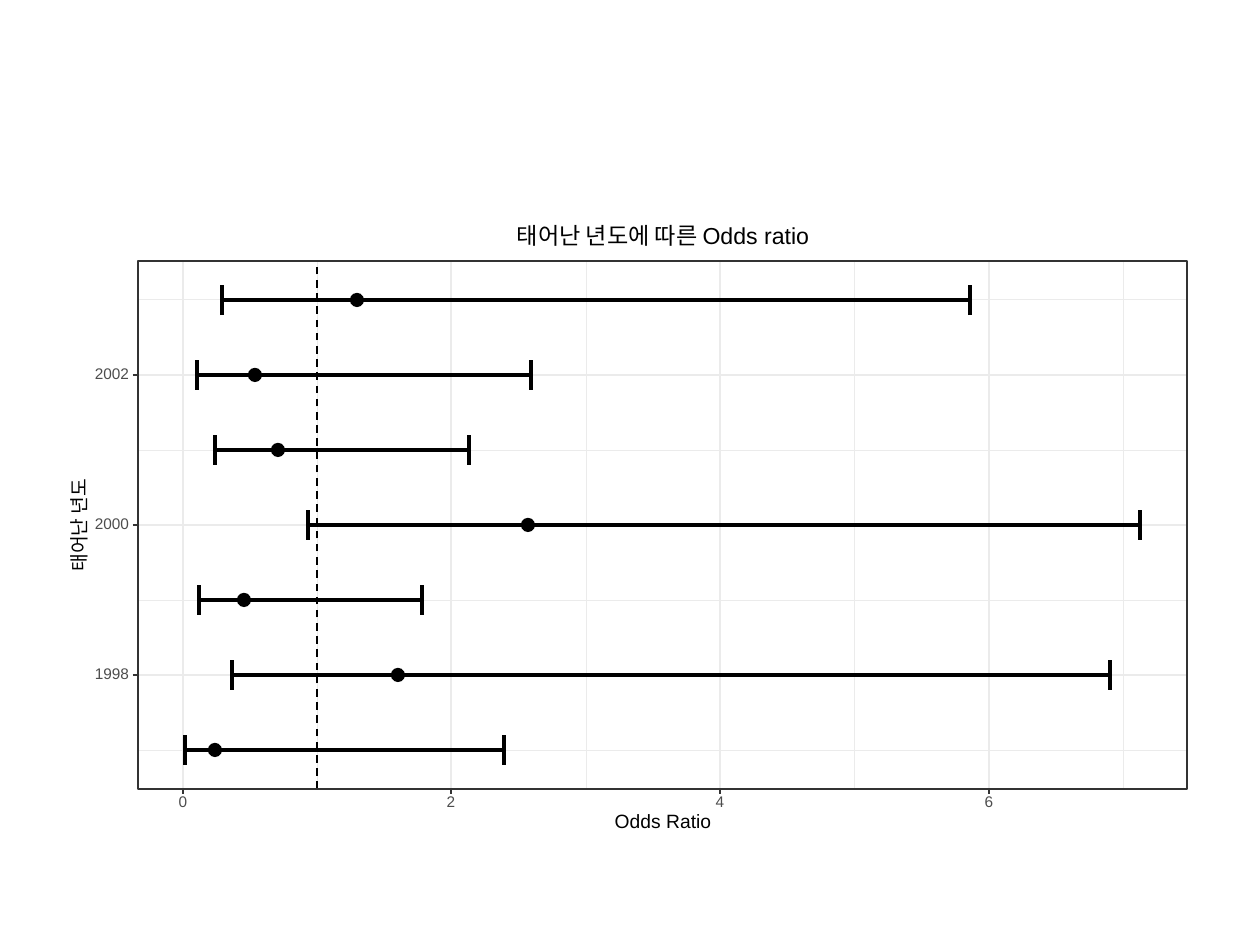
from lxml import etree
from pptx import Presentation
from pptx.dml.color import RGBColor
from pptx.enum.dml import MSO_LINE
from pptx.enum.shapes import MSO_CONNECTOR, MSO_SHAPE
from pptx.enum.text import MSO_ANCHOR, PP_ALIGN
from pptx.oxml.ns import qn
from pptx.util import Emu, Pt

PIXEL = 914400 / 126
BLACK = RGBColor(0x00, 0x00, 0x00)
FRAME_GRAY = RGBColor(0x33, 0x33, 0x33)
LABEL_GRAY = RGBColor(0x4D, 0x4D, 0x4D)
GRID_GRAY = RGBColor(0xEB, 0xEB, 0xEB)

LEFT, TOP, RIGHT, BOTTOM = 138, 261, 1187, 789
TICK = 5
MINOR, MAJOR, BAR = 0.53, 1.07, 2.77
YEAR_TICKS = (1998, 2000, 2002)
RATIO_TICKS = (0, 2, 4, 6)

# Year: lower limit, odds ratio, upper limit
INTERVALS = {
    1997: (0.02, 0.24, 2.39),
    1998: (0.37, 1.60, 6.90),
    1999: (0.12, 0.46, 1.78),
    2000: (0.93, 2.57, 7.12),
    2001: (0.24, 0.71, 2.13),
    2002: (0.11, 0.54, 2.59),
    2003: (0.29, 1.30, 5.86),
}


def px(pixels):
    """Turn pixels into EMU."""
    return Emu(round(pixels * PIXEL))


def ratio_x(ratio):
    """Return the horizontal position of an odds ratio."""
    return round(182.6 + 134.4 * ratio)


def year_y(year):
    """Return the vertical position of a birth year."""
    return 525 - 75 * (year - 2000)


def add_line(slide, x1, y1, x2, y2, color, width, dash=None):
    """Draw a straight line without a shadow."""
    line = slide.shapes.add_connector(
        MSO_CONNECTOR.STRAIGHT, px(x1), px(y1), px(x2), px(y2))
    line.line.color.rgb = color
    line.line.width = Pt(width)
    if dash:
        line.line.dash_style = dash
    etree.SubElement(line._element.spPr, qn("a:effectLst"))


def add_label(slide, text, center_x, center_y, width, height, size,
              color=BLACK, rotation=0):
    """Write one line of text around a centre point."""
    box = slide.shapes.add_textbox(px(center_x - width / 2), px(center_y - height / 2),
                                   px(width), px(height))
    box.rotation = rotation
    frame = box.text_frame
    frame.word_wrap = False
    frame.vertical_anchor = MSO_ANCHOR.MIDDLE
    frame.margin_left = frame.margin_right = frame.margin_top = frame.margin_bottom = 0
    paragraph = frame.paragraphs[0]
    paragraph.text = text
    paragraph.alignment = PP_ALIGN.CENTER
    paragraph.line_spacing = Pt(size)
    paragraph.font.name = "Arial"
    paragraph.font.size = Pt(size)
    paragraph.font.color.rgb = color


def add_grid(slide):
    """Draw the minor grid lines, then the major ones."""
    for years, ratios, width in (((1997, 1999, 2001, 2003), (1, 3, 5, 7), MINOR),
                                 (YEAR_TICKS, RATIO_TICKS, MAJOR)):
        for year in years:
            add_line(slide, LEFT, year_y(year), RIGHT, year_y(year), GRID_GRAY, width)
        for ratio in ratios:
            add_line(slide, ratio_x(ratio), BOTTOM, ratio_x(ratio), TOP, GRID_GRAY, width)


def add_point(slide, ratio, year):
    """Draw the dot of an odds ratio."""
    size = 13
    dot = slide.shapes.add_shape(
        MSO_SHAPE.OVAL, px(ratio_x(ratio) - size / 2), px(year_y(year) - size / 2),
        px(size), px(size))
    dot.shadow.inherit = False
    dot.fill.solid()
    dot.fill.fore_color.rgb = BLACK
    dot.line.color.rgb = BLACK
    dot.line.width = Pt(0.71)


def add_interval(slide, low, high, year):
    """Draw a confidence interval with a cap at each end."""
    y = year_y(year)
    add_line(slide, ratio_x(high), y, ratio_x(low), y, BLACK, BAR)
    for limit in (high, low):
        add_line(slide, ratio_x(limit), y + 15, ratio_x(limit), y - 15, BLACK, BAR)


def add_frame(slide):
    """Draw the border of the plot."""
    frame = slide.shapes.add_shape(
        MSO_SHAPE.RECTANGLE, px(LEFT), px(TOP), px(RIGHT - LEFT), px(BOTTOM - TOP))
    frame.shadow.inherit = False
    frame.fill.background()
    frame.line.color.rgb = FRAME_GRAY
    frame.line.width = Pt(MAJOR)


def add_axes(slide):
    """Draw the ticks and their labels."""
    for year in YEAR_TICKS:
        y = year_y(year)
        add_line(slide, LEFT - TICK, y, LEFT, y, FRAME_GRAY, MAJOR)
        add_label(slide, str(year), 112, y, 38, 11, 8.8, LABEL_GRAY)
    for ratio in RATIO_TICKS:
        x = ratio_x(ratio)
        add_line(slide, x, BOTTOM + TICK, x, BOTTOM, FRAME_GRAY, MAJOR)
        add_label(slide, str(ratio), x, 803, 11, 11, 8.8, LABEL_GRAY)


def main():
    """Build the slide and save it."""
    presentation = Presentation()
    presentation.slide_width, presentation.slide_height = px(1260), px(945)
    slide = presentation.slides.add_slide(presentation.slide_layouts[6])

    add_grid(slide)
    for year, (_, ratio, _) in INTERVALS.items():
        add_point(slide, ratio, year)
    for year, (low, _, high) in INTERVALS.items():
        add_interval(slide, low, high, year)
    add_line(slide, ratio_x(1), BOTTOM, ratio_x(1), TOP, BLACK, MAJOR, MSO_LINE.DASH)
    add_frame(slide)
    add_axes(slide)
    add_label(slide, "Odds Ratio", 663, 823, 104, 14, 11)
    add_label(slide, "태어난 년도", 81, 525, 104, 13, 11, rotation=270)
    add_label(slide, "태어난 년도에 따른 Odds ratio", 663, 238, 310, 18, 13.2)

    presentation.save("out.pptx")


main()
